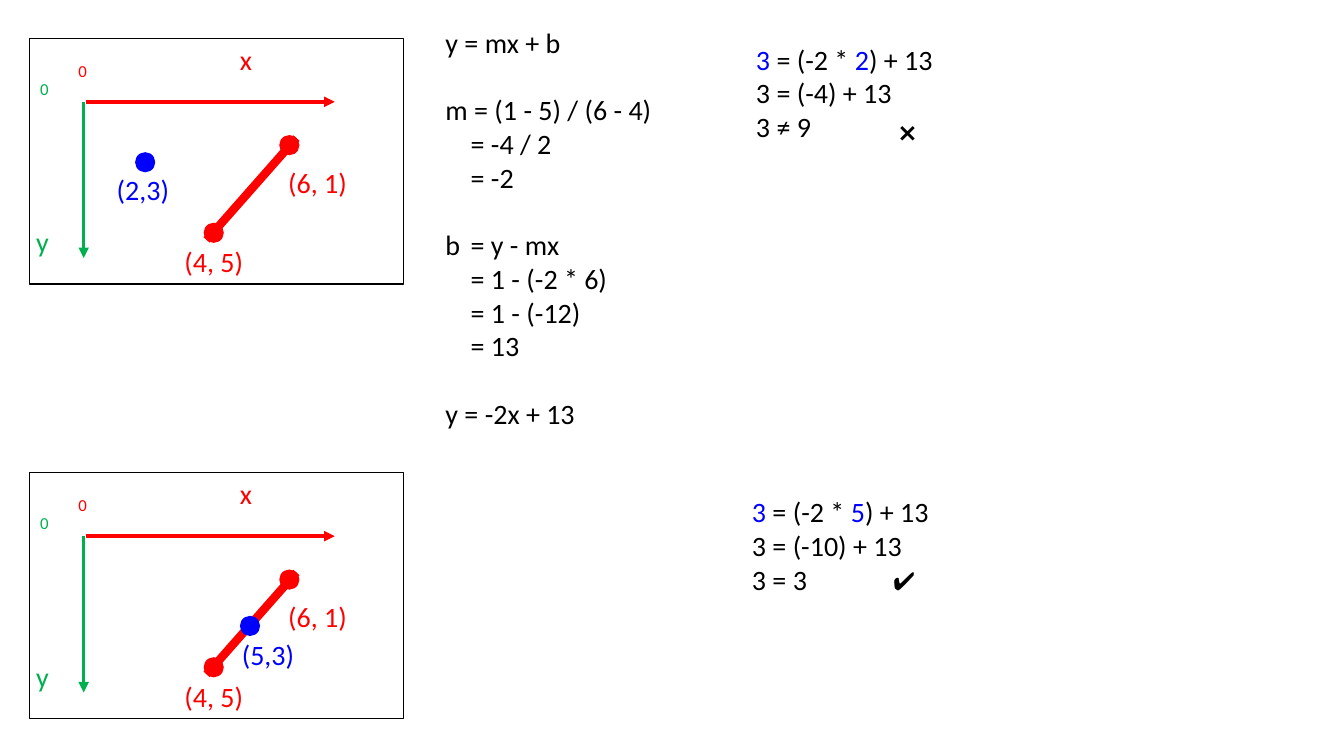
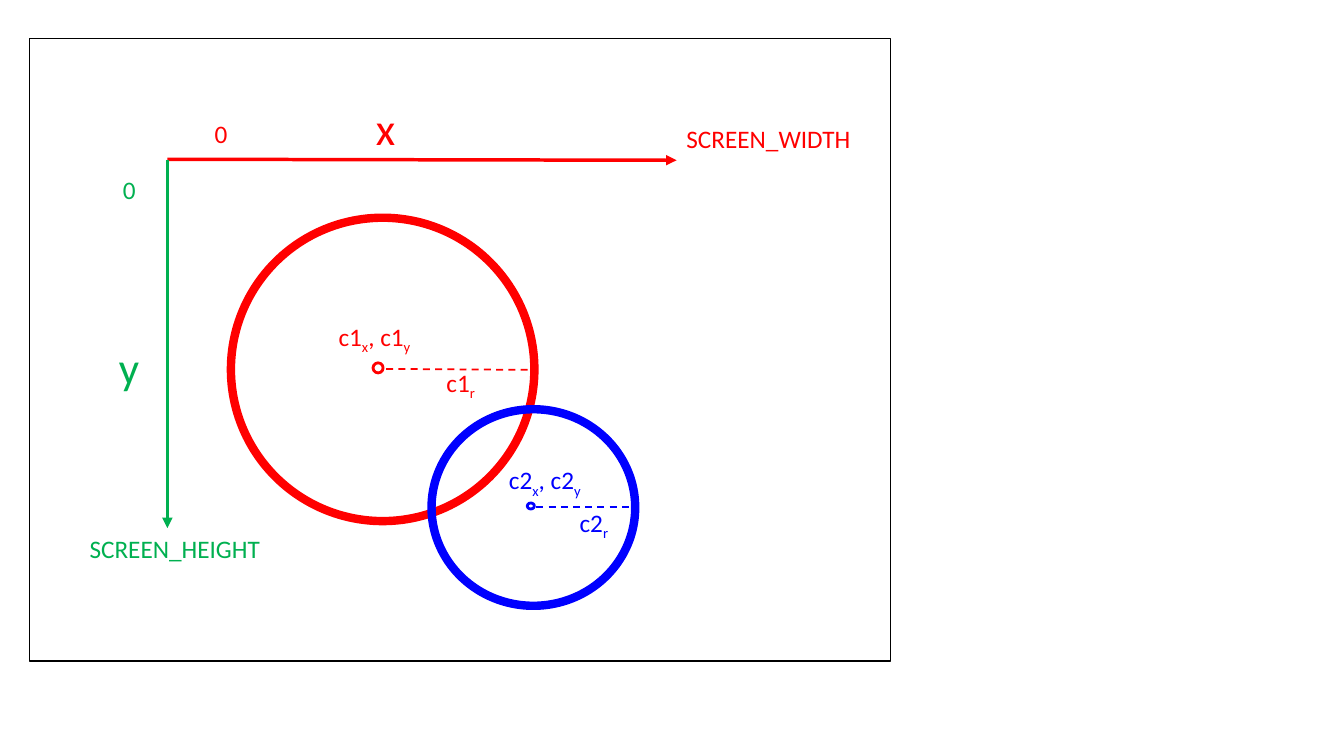
"""Build two slides on points, lines and circles in screen space."""
from lxml.etree import SubElement
from pptx import Presentation
from pptx.dml.color import RGBColor
from pptx.enum.dml import MSO_LINE
from pptx.enum.shapes import MSO_CONNECTOR, MSO_SHAPE
from pptx.enum.text import MSO_AUTO_SIZE
from pptx.oxml.ns import qn
from pptx.util import Inches, Pt

RED, GREEN, BLUE, BLACK = "FF0000", "00B050", "0000FF", "000000"
FONT = "Calibri"
TAB = 0.25
DOT = 0.2
LEFT, TOP = 0.29, 0.38

PROOF = [
    ["y = mx + b"],
    ["m = (1 - 5) / (6 - 4)", "\t= -4 / 2", "\t= -2"],
    ["b\t= y - mx", "\t= 1 - (-2 * 6)", "\t= 1 - (-12)", "\t= 13"],
    ["y = -2x + 13"],
]
PLOTS = [
    {"drop": 0, "label": "(2,3)", "at": (1.06, 1.66), "dot": (1.34, 1.51),
     "sums": ["~3~ = (-2 * ~2~) + 13", "3 = (-4) + 13", "3 ≠ 9"],
     "sum_at": (7.4, 0.37), "sign": "❌", "sign_at": (8.82, 1.11, 0.55)},
    {"drop": 4.31, "label": "(5,3)", "at": (2.3, 6.28), "dot": (2.38, 6.11),
     "sums": ["~3~ = (-2 * ~5~) + 13", "3 = (-10) + 13", "3 = 3"],
     "sum_at": (7.36, 4.86), "sign": "✔️", "sign_at": (8.76, 5.56, 0.67)},
]
PLOT_TEXT = [
    ("(4, 5)", 1.73, 2.38, 0.79, 20, RED),
    ("(6, 1)", 2.76, 1.59, 0.79, 20, RED),
    ("x", 2.28, 0.37, 0.32, 20, RED),
    ("y", 0.26, 2.18, 0.33, 20, GREEN),
    ("0", 0.68, 0.55, 0.29, 12, RED),
    ("0", 0.3, 0.73, 0.29, 12, GREEN),
]
ENDS = [(2.02, 2.21), (2.77, 1.34)]
SCREEN_TEXT = [
    ("x", 3.63, 0.95, 0.4, 32, RED),
    ("y", 1.08, 3.32, 0.41, 32, GREEN),
    ("0", 2.03, 1.12, 0.33, 18, RED),
    ("SCREEN_WIDTH", 6.71, 1.17, 1.85, 18, RED),
    ("0", 1.12, 1.68, 0.33, 18, GREEN),
    ("SCREEN_HEIGHT", 0.79, 5.24, 1.91, 18, GREEN),
]
CIRCLES = [
    {"name": "c1", "hue": RED, "ring": (2.29, 2.16, 3.01, 3.01),
     "mid": (3.7, 3.6, 0.1, 0.1), "ray": (3.83, 3.66, 5.3, 3.67),
     "side": (4.33, 3.59), "head": (3.26, 3.14)},
    {"name": "c2", "hue": BLUE, "ring": (4.28, 4.06, 2.02, 1.95),
     "mid": (5.23, 4.99, 0.07, 0.06), "ray": (5.32, 5.03, 6.3, 5.03),
     "side": (5.65, 4.98), "head": (4.95, 4.56)},
]


def rgb(code):
    return RGBColor.from_string(code)


def shape(slide, kind, box, fill=None, line=None, width=1):
    item = slide.shapes.add_shape(kind, *map(Inches, box))
    item.shadow.inherit = False
    if fill:
        item.fill.solid()
        item.fill.fore_color.rgb = rgb(fill)
    else:
        item.fill.background()
    if line:
        item.line.color.rgb = rgb(line)
        item.line.width = Pt(width)
    else:
        item.line.fill.background()


def frame(slide, wide, high, drop=0):
    shape(slide, MSO_SHAPE.RECTANGLE, (LEFT, TOP + drop, wide, high), line=BLACK)


def dot(slide, x, y, hue):
    shape(slide, MSO_SHAPE.OVAL, (x, y, DOT, DOT), fill=hue)


def line(slide, ends, hue, width, arrow=False, dash=False):
    item = slide.shapes.add_connector(MSO_CONNECTOR.STRAIGHT, *map(Inches, ends))
    item.line.color.rgb = rgb(hue)
    item.line.width = Pt(width)
    if dash:
        item.line.dash_style = MSO_LINE.DASH
    if arrow:
        SubElement(item.line._get_or_add_ln(), qn("a:tailEnd"), type="triangle")
    SubElement(item._element.spPr, qn("a:effectLst"))


def write(slide, blocks, x, y, wide, size, hue, mark=None, wrap=False):
    """Write blocks of lines; text between tildes takes the mark colour or drops."""
    count = sum(map(len, blocks))
    high = 0.1 + count * size / 59
    box = slide.shapes.add_textbox(*map(Inches, (x, y, wide, high)))
    body = box.text_frame
    body.word_wrap = wrap
    body.auto_size = MSO_AUTO_SIZE.SHAPE_TO_FIT_TEXT
    rows = [(row, i and not j) for i, block in enumerate(blocks)
            for j, row in enumerate(block)]
    for n, (row, gap) in enumerate(rows):
        para = body.add_paragraph() if n else body.paragraphs[0]
        para.font.name = FONT
        para.font.size = Pt(size)
        para.font.color.rgb = rgb(hue)
        if gap:
            para.space_before = Pt(size * 1.22)
        if "\t" in row:
            props = para._p.get_or_add_pPr()
            tabs = props.makeelement(qn("a:tabLst"))
            SubElement(tabs, qn("a:tab"), pos=str(Inches(TAB)), algn="l")
            props.find(qn("a:defRPr")).addprevious(tabs)
        for k, part in enumerate(row.split("~")):
            if not part:
                continue
            run = para.add_run()
            run.text = part
            if k % 2 and mark:
                run.font.color.rgb = rgb(mark)
            elif k % 2:
                run.font._element.set("baseline", "-25000")


def labels(slide, items, drop=0):
    for text, x, y, wide, size, hue in items:
        write(slide, [[text]], x, y + drop, wide, size, hue)


def plot(slide, part):
    drop = part["drop"]
    line(slide, (2.05, 2.38 + drop, 2.94, 1.37 + drop), RED, 6)
    for x, y in ENDS:
        dot(slide, x, y + drop, RED)
    line(slide, (0.85, 1.01 + drop, 3.32, 1.01 + drop), RED, 2.5, arrow=True)
    line(slide, (0.83, 1.01 + drop, 0.83, 2.56 + drop), GREEN, 2.5, arrow=True)
    labels(slide, PLOT_TEXT, drop)
    frame(slide, 3.71, 2.44, drop)
    write(slide, [[part["label"]]], *part["at"], 0.73, 20, BLUE)
    dot(slide, *part["dot"], BLUE)
    write(slide, [part["sums"]], *part["sum_at"], 1.97, 20, BLACK, mark=BLUE)
    write(slide, [[part["sign"]]], *part["sign_at"], 18, BLACK, wrap=True)


def circle(slide, part):
    name, hue = part["name"], part["hue"]
    shape(slide, MSO_SHAPE.OVAL, part["ring"], line=hue, width=6)
    write(slide, [[f"{name}~r~"]], *part["side"], 0.49, 18, hue)
    shape(slide, MSO_SHAPE.OVAL, part["mid"], line=hue, width=2)
    line(slide, part["ray"], hue, 1.25, dash=True)
    write(slide, [[f"{name}~x~, {name}~y~"]], *part["head"], 0.94, 18, hue)


def main():
    deck = Presentation()
    deck.slide_width, deck.slide_height = Inches(13.33), Inches(7.5)
    blank = deck.slide_layouts[6]

    slide = deck.slides.add_slide(blank)
    for part in PLOTS:
        plot(slide, part)
    write(slide, PROOF, 4.32, 0.2, 2.26, 20, BLACK)

    slide = deck.slides.add_slide(blank)
    line(slide, (1.66, 1.58, 6.71, 1.59), RED, 2.5, arrow=True)
    line(slide, (1.66, 1.59, 1.66, 5.24), GREEN, 2.5, arrow=True)
    labels(slide, SCREEN_TEXT)
    frame(slide, 8.54, 6.18)
    for part in CIRCLES:
        circle(slide, part)

    deck.save("out.pptx")


if __name__ == "__main__":
    main()
